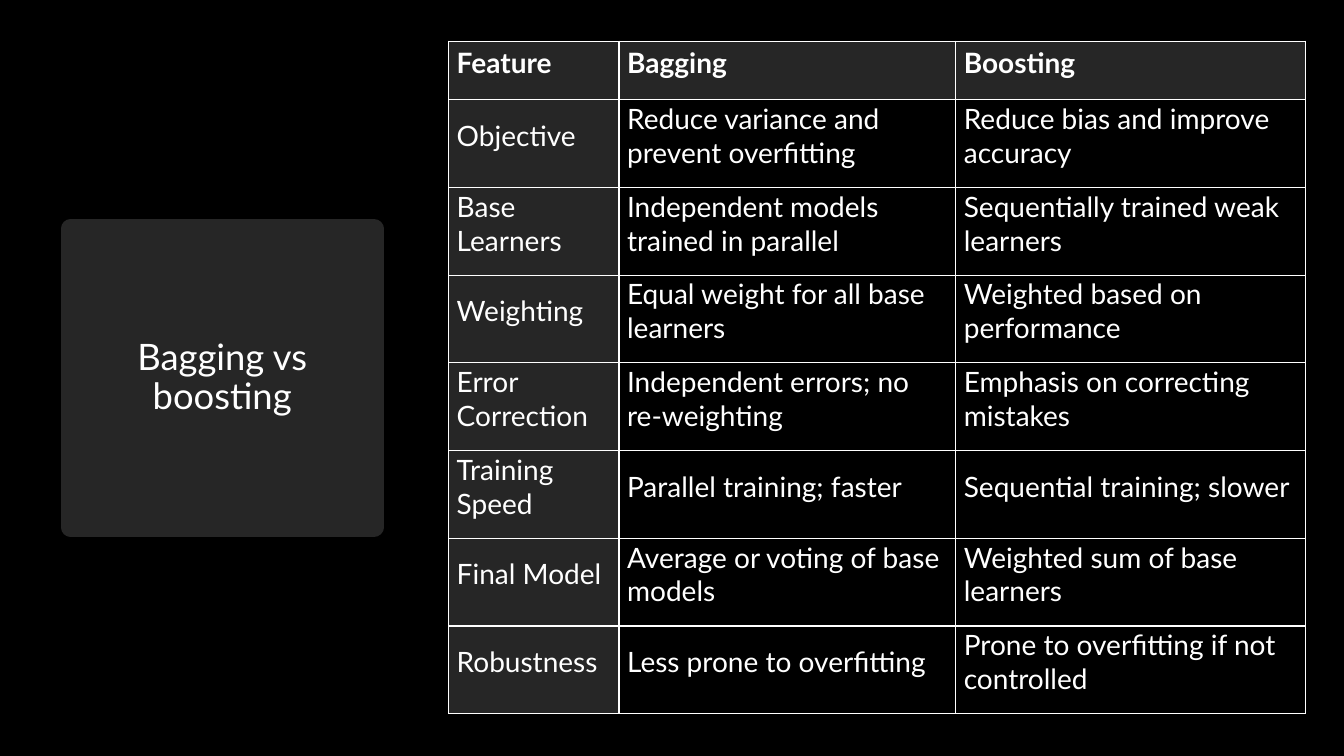
from lxml import etree
from pptx import Presentation
from pptx.dml.color import RGBColor
from pptx.enum import text
from pptx.oxml import ns
from pptx.util import Inches, Pt

HUES = {"back": "000000", "panel": "262626", "ink": "FFFFFF"}
ROWS = [
    ("Feature", "Bagging", "Boosting"),
    ("Objective", "Reduce variance and prevent overfitting", "Reduce bias and improve accuracy"),
    ("Base Learners", "Independent models trained in parallel", "Sequentially trained weak learners"),
    ("Weighting", "Equal weight for all base learners", "Weighted based on performance"),
    ("Error Correction", "Independent errors; no re-weighting", "Emphasis on correcting mistakes"),
    ("Training Speed", "Parallel training; faster", "Sequential training; slower"),
    ("Final Model", "Average or voting of base models", "Weighted sum of base learners"),
    ("Robustness", "Less prone to overfitting", "Prone to overfitting if not controlled"),
]
WIDTHS = [1.69, 3.34, 3.47]
HEAD, BODY = 0.58, 0.87


def write(frame, words, size=20, bold=False, align=text.PP_ALIGN.LEFT, space=1.0):
    para = frame.paragraphs[0]
    para.alignment = align
    para.line_spacing = space
    run = para.add_run()
    run.text = words
    run.font.name = "Lato"
    run.font.size = Pt(size)
    run.font.bold = bold
    run.font.color.rgb = RGBColor.from_string(HUES["ink"])


def edge(cell):
    props = cell._tc.get_or_add_tcPr()
    for spot, side in enumerate(("lnL", "lnR", "lnT", "lnB")):
        line = etree.Element(ns.qn("a:" + side), w=str(Pt(1)))
        fill = etree.SubElement(line, ns.qn("a:solidFill"))
        etree.SubElement(fill, ns.qn("a:srgbClr"), val=HUES["ink"])
        props.insert(spot, line)


deck = Presentation()
deck.slide_width, deck.slide_height = Inches(13.33), Inches(7.5)
slide = deck.slides.add_slide(deck.slide_layouts[5])
slide.background.fill.solid()
slide.background.fill.fore_color.rgb = RGBColor.from_string(HUES["back"])

title = slide.shapes.title
title.left, title.top = Inches(0.7), Inches(2.27)
title.width, title.height = Inches(3.01), Inches(2.96)
panel = RGBColor.from_string(HUES["panel"])
title.fill.solid()
title.fill.fore_color.rgb = panel
title.line.color.rgb = panel
title.line.width = Pt(13.75)
title.text_frame.word_wrap = True
title.text_frame.auto_size = text.MSO_AUTO_SIZE.NONE
title.text_frame.vertical_anchor = text.MSO_ANCHOR.MIDDLE
write(title.text_frame, "Bagging vs boosting", size=26, align=text.PP_ALIGN.CENTER, space=0.9)

high = HEAD + BODY * (len(ROWS) - 1)
grid = slide.shapes.add_table(
    len(ROWS), len(WIDTHS), Inches(4.45), Inches(0.41), Inches(sum(WIDTHS)), Inches(high)
).table
grid.horz_banding = False
for col, width in zip(grid.columns, WIDTHS):
    col.width = Inches(width)

for r, row in enumerate(ROWS):
    grid.rows[r].height = Inches(BODY if r else HEAD)
    for c, words in enumerate(row):
        cell = grid.cell(r, c)
        cell.margin_left, cell.margin_top = Inches(0.08), Inches(0.02)
        cell.margin_right, cell.margin_bottom = Inches(0.1), Inches(0.18)
        cell.vertical_anchor = text.MSO_ANCHOR.MIDDLE
        cell.fill.solid()
        hue = "back" if r and c else "panel"
        cell.fill.fore_color.rgb = RGBColor.from_string(HUES[hue])
        edge(cell)
        write(cell.text_frame, words, bold=r == 0)

deck.save("out.pptx")
